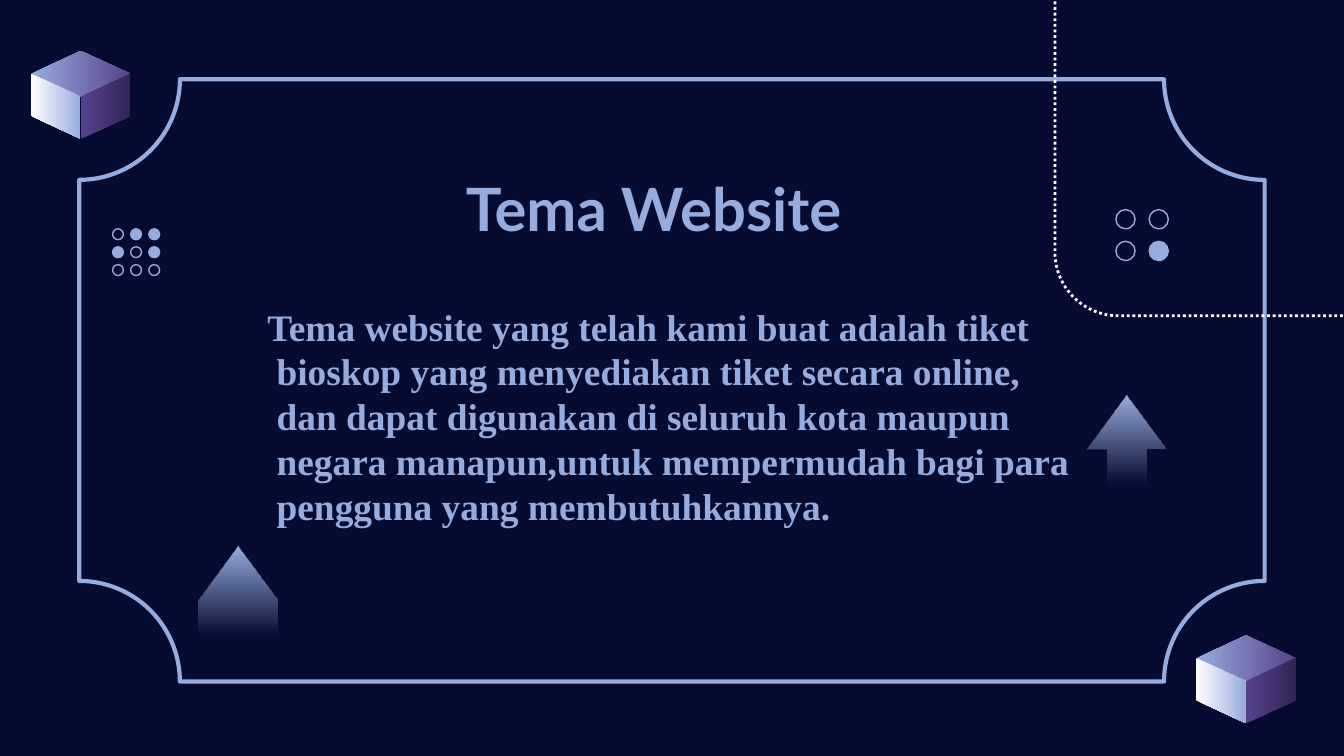
from dataclasses import dataclass

from lxml.etree import SubElement
from pptx import Presentation
from pptx.dml.color import RGBColor
from pptx.enum.dml import MSO_LINE
from pptx.enum.shapes import MSO_SHAPE
from pptx.enum.text import MSO_ANCHOR, MSO_AUTO_SIZE, PP_ALIGN
from pptx.oxml.ns import qn
from pptx.util import Pt


@dataclass(frozen=True)
class Theme:
    navy: str = "050B31"
    blue: str = "97ACDE"
    purple: str = "57428A"
    plum: str = "322457"
    white: str = "FFFFFF"
    title_font: str = "Lato"
    body_font: str = "Times New Roman"
    title_size: int = 32
    body_size: int = 20


theme = Theme()


def add_shape(shapes, kind, box, fill=None, line=None, width=0.75, adj=()):
    s = shapes.add_shape(kind, *[Pt(v) for v in box])
    s.shadow.inherit = False
    for i, value in enumerate(adj):
        s.adjustments[i] = value
    if fill:
        s.fill.solid()
        s.fill.fore_color.rgb = RGBColor.from_string(fill)
    else:
        s.fill.background()
    if line:
        s.line.color.rgb = RGBColor.from_string(line)
        s.line.width = Pt(width)
    else:
        s.line.fill.background()
    return s


def set_gradient(s, colors, angle, fade=False):
    """Fill s with two colours; fade makes the last one fully transparent."""
    s.fill.gradient()
    s.fill.gradient_angle = angle
    for stop, color in zip(s.fill.gradient_stops, colors):
        stop.color.rgb = RGBColor.from_string(color)
    if fade:
        last = s._element.spPr.findall(".//" + qn("a:srgbClr"))[-1]
        SubElement(last, qn("a:alpha")).set("val", "0")


prs = Presentation()
prs.slide_width, prs.slide_height = Pt(720), Pt(405)
slide = prs.slides.add_slide(prs.slide_layouts[5])
slide.background.fill.solid()
slide.background.fill.fore_color.rgb = RGBColor.from_string(theme.navy)
shapes = slide.shapes

# Frame and dotted corner
add_shape(shapes, MSO_SHAPE.PLAQUE, (42.5, 42.5, 635, 322.6),
          line=theme.blue, width=2.25, adj=(0.167,))
corner = add_shape(shapes, MSO_SHAPE.ROUNDED_RECTANGLE, (565.2, -43.9, 203.8, 213.1),
                   line=theme.white, width=1.5, adj=(0.167,))
corner.line.dash_style = MSO_LINE.ROUND_DOT

# Title and body
title = shapes.title
body = shapes.add_textbox(Pt(105.1), Pt(155.5), Pt(475.9), Pt(162.7))
title.left, title.top, title.width, title.height = Pt(112.3), Pt(85), Pt(475.9), Pt(65.5)
texts = [
    (title, "Tema Website", theme.title_font, theme.title_size,
     {"alignment": PP_ALIGN.CENTER, "line_spacing": 1.0}),
    (body, "Tema website yang telah kami buat adalah tiket bioskop yang menyediakan "
           "tiket secara online, dan dapat digunakan di seluruh kota maupun negara "
           "manapun,untuk mempermudah bagi para pengguna yang membutuhkannya.",
     theme.body_font, theme.body_size,
     {"alignment": PP_ALIGN.LEFT, "line_spacing": Pt(24)}),
]
frame_format = {
    "word_wrap": True, "auto_size": MSO_AUTO_SIZE.NONE, "vertical_anchor": MSO_ANCHOR.TOP,
    "margin_left": Pt(7.2), "margin_right": Pt(7.2),
    "margin_top": Pt(7.2), "margin_bottom": Pt(7.2),
}
for s, text, font, size, paragraph_format in texts:
    tf = s.text_frame
    for name, value in frame_format.items():
        setattr(tf, name, value)
    p = tf.paragraphs[0]
    for name, value in paragraph_format.items():
        setattr(p, name, value)
    r = p.add_run()
    r.text = text
    for name, value in {"name": font, "size": Pt(size), "bold": True}.items():
        setattr(r.font, name, value)
    r.font.color.rgb = RGBColor.from_string(theme.blue)

# The first body line hangs slightly to the left
pPr = body.text_frame.paragraphs[0]._p.get_or_add_pPr()
pPr.set("marL", str(Pt(36)))
pPr.set("indent", str(Pt(-5)))

# Fading arrows
for left, top, shaft in [(582.5, 211.7, 0.5), (106.6, 293, 1)]:
    arrow = add_shape(shapes, MSO_SHAPE.UP_ARROW, (left, top, 42, 47.5), adj=(shaft, 0.679))
    set_gradient(arrow, (theme.blue, theme.blue), 270, fade=True)

# Dot grids: left, top, column step, row step, diameter, rows (1 = filled)
dot_grids = [
    (60.3, 122.6, 9.7, 9.6, 5.8, ("011", "101", "000")),
    (597.8, 112.3, 17.8, 17, 10.3, ("00", "01")),
]
for left, top, dx, dy, size, rows in dot_grids:
    group = shapes.add_group_shape()
    for i, row in enumerate(rows):
        for j, mark in enumerate(row):
            add_shape(group.shapes, MSO_SHAPE.OVAL,
                      (left + j * dx, top + i * dy, size, size),
                      fill=theme.blue if mark == "1" else None, line=theme.blue)

# Cubes
half, rise, side = 26.7, 12.3, 22.5
cube_faces = [
    ([(0, rise), (half, 0), (2 * half, rise), (half, 2 * rise)],
     (theme.blue, theme.purple)),
    ([(0, rise), (half, 2 * rise), (half, 2 * rise + side), (0, rise + side)],
     (theme.white, theme.blue)),
    ([(2 * half, rise), (2 * half, rise + side), (half, 2 * rise + side), (half, 2 * rise)],
     (theme.purple, theme.plum)),
]
for left, top in [(16.6, 27.3), (640.8, 340.4)]:
    group = shapes.add_group_shape()
    for points, colors in cube_faces:
        corners = [(Pt(left + x), Pt(top + y)) for x, y in points]
        builder = group.shapes.build_freeform(*corners[0])
        builder.add_line_segments(corners[1:], close=True)
        face = builder.convert_to_shape()
        face.shadow.inherit = False
        face.line.fill.background()
        set_gradient(face, colors, 0)

prs.save("out.pptx")
